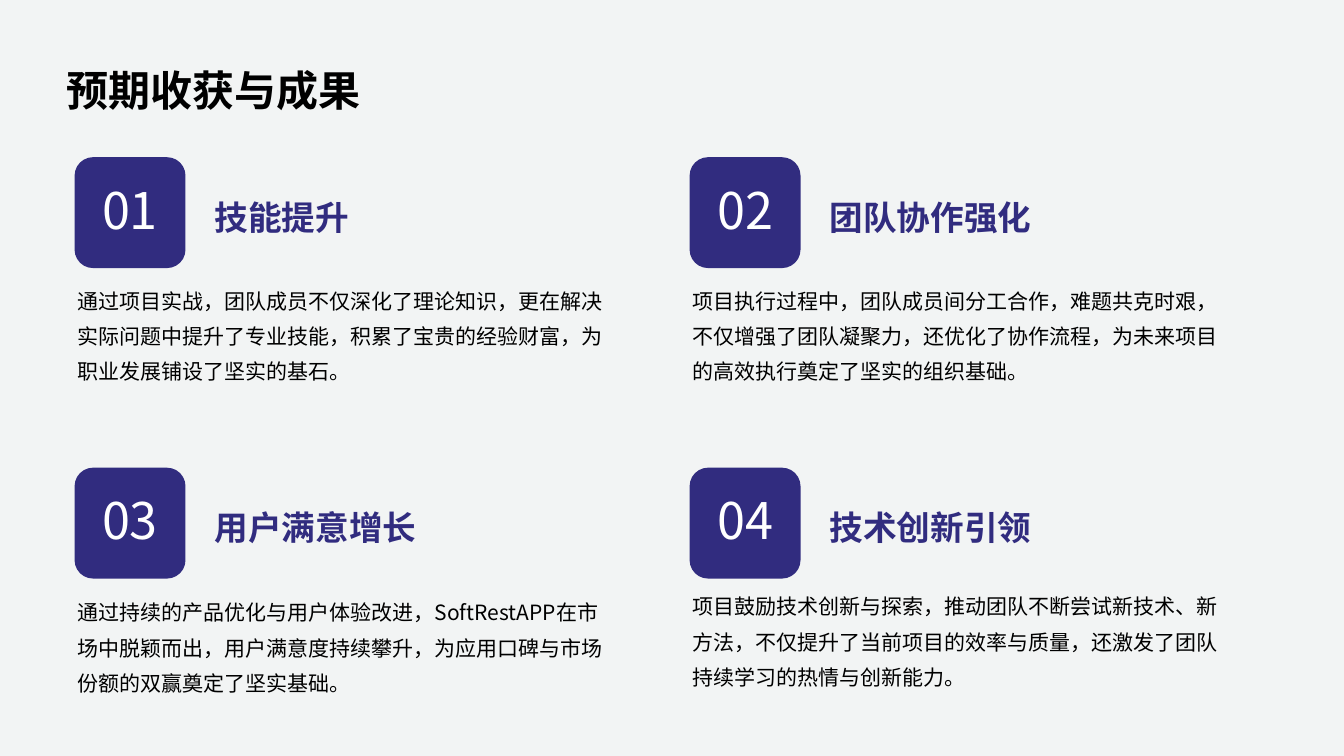
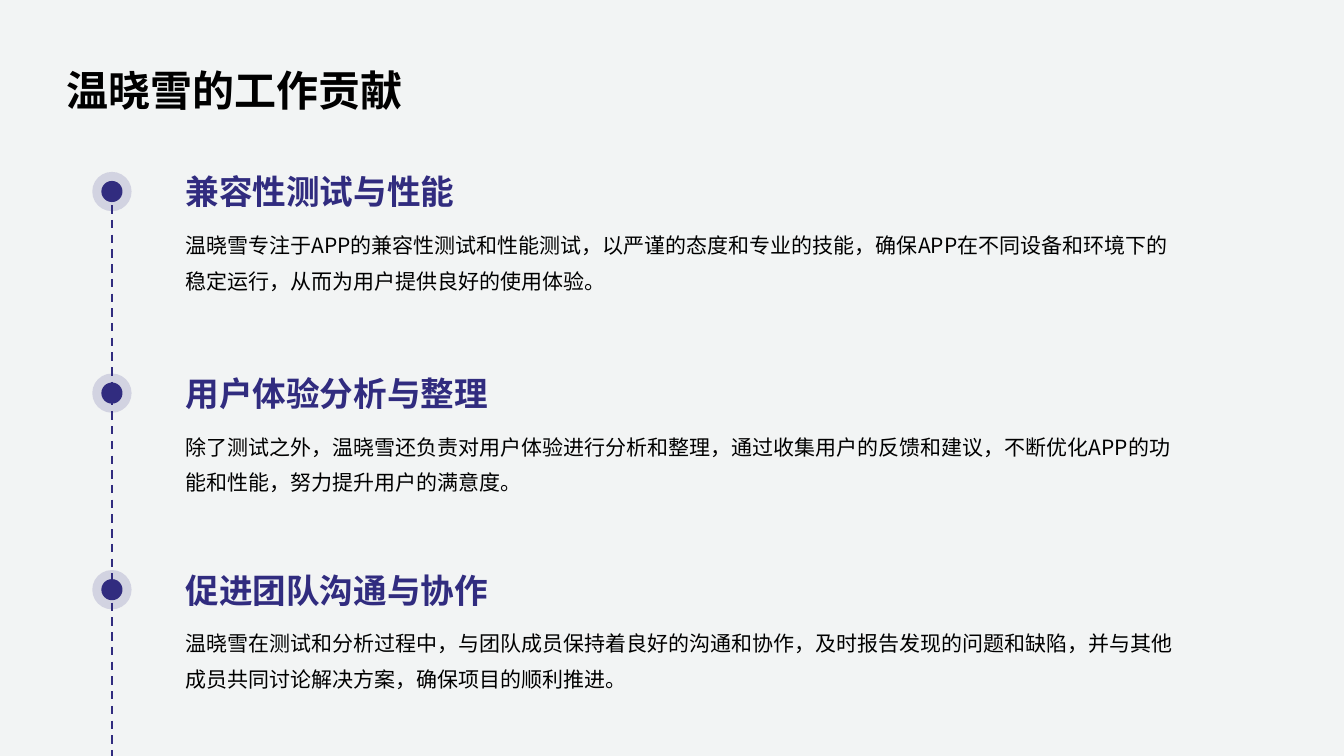
import pptx
import pptx.util
import pptx.dml.color
import pptx.enum.dml
import pptx.enum.shapes
import pptx.enum.text
import pptx.oxml.ns
import lxml.etree

# Shared look
WIDTH, HEIGHT = 13.33, 7.5
FONT = "Noto Sans CJK SC"
INDIGO, BLACK, WHITE, PAPER = "312C7F", "000000", "FFFFFF", "F2F4F4"
TITLE = {"size": 30, "bold": True, "color": BLACK, "spacing": 1.4}
HEADING = {"size": 24, "bold": True, "color": INDIGO, "spacing": 1.2}
BODY = {"size": 15, "bold": False, "color": BLACK, "spacing": 1.4}
NUMBER = {"size": 36, "bold": False, "color": WHITE, "spacing": 1.0}
NO_INSETS = (0, 0, 0, 0)
TEXT_INSETS = (0.1, 0.05, 0.1, 0.05)

ANCHOR = pptx.enum.text.MSO_ANCHOR
ALIGN = pptx.enum.text.PP_ALIGN
SHAPE = pptx.enum.shapes.MSO_SHAPE
inch = pptx.util.Inches

# Card grid: two columns, two rows
CARD_LEFT, CARD_TOP = 0.74, 1.56
COLUMN_STEP, ROW_STEP = 6.1, 3.08
BADGE = 1.1
CARDS = [  # heading, body, gap from the badge top to the body
    ("技能提升",
     "通过项目实战，团队成员不仅深化了理论知识，更在解决实际问题中提升了专业技能，积累了宝贵的经验财富，为职业发展铺设了坚实的基石。", 1.2),
    ("团队协作强化",
     "项目执行过程中，团队成员间分工合作，难题共克时艰，不仅增强了团队凝聚力，还优化了协作流程，为未来项目的高效执行奠定了坚实的组织基础。", 1.2),
    ("用户满意增长",
     "通过持续的产品优化与用户体验改进，SoftRestAPP在市场中脱颖而出，用户满意度持续攀升，为应用口碑与市场份额的双赢奠定了坚实基础。", 1.21),
    ("技术创新引领",
     "项目鼓励技术创新与探索，推动团队不断尝试新技术、新方法，不仅提升了当前项目的效率与质量，还激发了团队持续学习的热情与创新能力。", 1.15),
]

# Timeline: one axis, text to its right
AXIS_X, TIMELINE_TEXT_LEFT = 1.11, 1.84
DOT, HALO = 0.21, 0.39
MILESTONES = [  # top, heading, body
    (1.49, "兼容性测试与性能",
     "温晓雪专注于APP的兼容性测试和性能测试，以严谨的态度和专业的技能，确保APP在不同设备和环境下的稳定运行，从而为用户提供良好的使用体验。"),
    (3.49, "用户体验分析与整理",
     "除了测试之外，温晓雪还负责对用户体验进行分析和整理，通过收集用户的反馈和建议，不断优化APP的功能和性能，努力提升用户的满意度。"),
    (5.44, "促进团队沟通与协作",
     "温晓雪在测试和分析过程中，与团队成员保持着良好的沟通和协作，及时报告发现的问题和缺陷，并与其他成员共同讨论解决方案，确保项目的顺利推进。"),
]


def rgb(value):
    return pptx.dml.color.RGBColor.from_string(value)


def add_xml(parent, tag, **attributes):
    return lxml.etree.SubElement(parent, pptx.oxml.ns.qn(tag), attributes)


def write(box, text, style, anchor=ANCHOR.TOP, insets=NO_INSETS, align=ALIGN.LEFT):
    frame = box.text_frame
    left, top, right, bottom = map(inch, insets)
    settings = {"word_wrap": True, "vertical_anchor": anchor,
                "margin_left": left, "margin_top": top,
                "margin_right": right, "margin_bottom": bottom}
    for name, value in settings.items():
        setattr(frame, name, value)
    para = frame.paragraphs[0]
    para.alignment = align
    para.line_spacing = style["spacing"]
    span = para.add_run()
    span.text = text
    font_values = {"name": FONT, "bold": style["bold"],
                   "size": pptx.util.Pt(style["size"])}
    for name, value in font_values.items():
        setattr(span.font, name, value)
    span.font.color.rgb = rgb(style["color"])
    add_xml(span.font._element, "a:ea", typeface=FONT)


def add_text(page, area, text, style, **layout):
    box = page.shapes.add_textbox(*map(inch, area))
    write(box, text, style, **layout)


def add_filled(shapes, kind, area, color, opacity=None):
    shape = shapes.add_shape(kind, *map(inch, area))
    shape.shadow.inherit = False
    shape.fill.solid()
    shape.fill.fore_color.rgb = rgb(color)
    shape.line.fill.background()
    if opacity is not None:
        fill_color = shape._element.spPr.find(".//" + pptx.oxml.ns.qn("a:srgbClr"))
        add_xml(fill_color, "a:alpha", val=str(opacity * 1000))
    return shape


def add_page(deck, title):
    page = deck.slides.add_slide(deck.slide_layouts[6])
    add_text(page, (0.52, 0.29, 12.29, 1), title, TITLE,
             anchor=ANCHOR.MIDDLE, insets=(0.14, 0.14, 0.06, 0.14))
    return page


def add_card(page, index, heading, body, body_gap):
    row, column = divmod(index, 2)
    left = CARD_LEFT + column * COLUMN_STEP
    top = CARD_TOP + row * ROW_STEP
    badge = add_filled(page.shapes, SHAPE.ROUNDED_RECTANGLE,
                       (left, top, BADGE, BADGE), INDIGO)
    write(badge, f"{index + 1:02d}", NUMBER, anchor=ANCHOR.MIDDLE,
          insets=(0, 0, 0, 0.07), align=ALIGN.CENTER)
    add_text(page, (left + 1.29, top, 3.88, BADGE), heading, HEADING,
             anchor=ANCHOR.MIDDLE, insets=TEXT_INSETS)
    add_text(page, (left + 0.03, top + body_gap, 5.31, 1.09), body, BODY)


def add_milestone(page, top, heading, body):
    add_text(page, (TIMELINE_TEXT_LEFT, top, 9.78, 0.61), heading, HEADING,
             anchor=ANCHOR.BOTTOM)
    add_text(page, (TIMELINE_TEXT_LEFT, top + 0.72, 9.81, 0.84), body, BODY)
    marker = page.shapes.add_group_shape()
    center_y = top + 0.41
    for size, opacity in ((DOT, None), (HALO, 16)):
        area = (AXIS_X - size / 2, center_y - size / 2, size, size)
        add_filled(marker.shapes, SHAPE.OVAL, area, INDIGO, opacity)


def add_axis(page, top):
    axis = page.shapes.add_connector(
        pptx.enum.shapes.MSO_CONNECTOR.STRAIGHT,
        *map(inch, (AXIS_X, top, AXIS_X, HEIGHT)))
    axis.line.color.rgb = rgb(INDIGO)
    axis.line.width = pptx.util.Pt(1.5)
    axis.line.dash_style = pptx.enum.dml.MSO_LINE.DASH
    add_xml(axis._element.spPr, "a:effectLst")


def main():
    deck = pptx.Presentation()
    deck.slide_width, deck.slide_height = inch(WIDTH), inch(HEIGHT)
    background = deck.slide_master.background.fill
    background.solid()
    background.fore_color.rgb = rgb(PAPER)

    # Expected results
    page = add_page(deck, "预期收获与成果")
    for index, card in enumerate(CARDS):
        add_card(page, index, *card)

    # Work contributions
    page = add_page(deck, "温晓雪的工作贡献")
    for milestone in MILESTONES:
        add_milestone(page, *milestone)
    add_axis(page, MILESTONES[0][0] + 0.4)

    deck.save("out.pptx")


if __name__ == "__main__":
    main()
